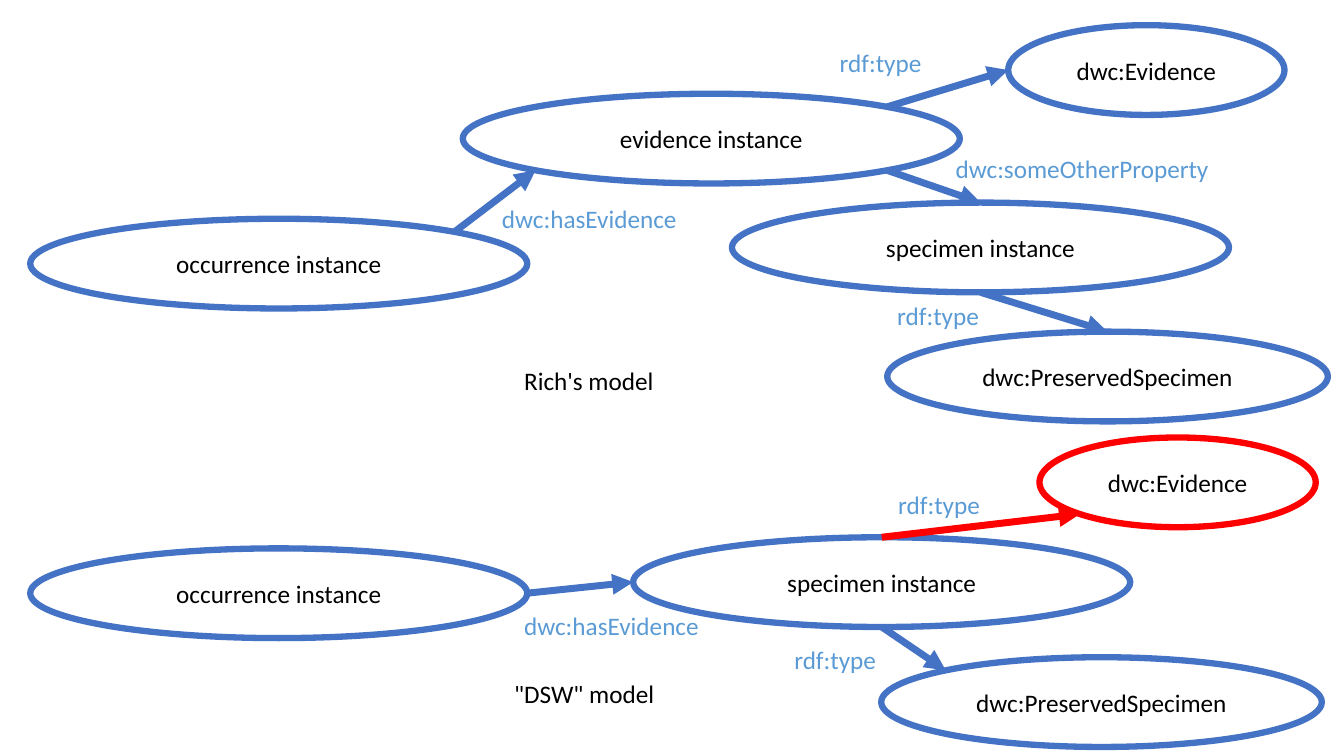
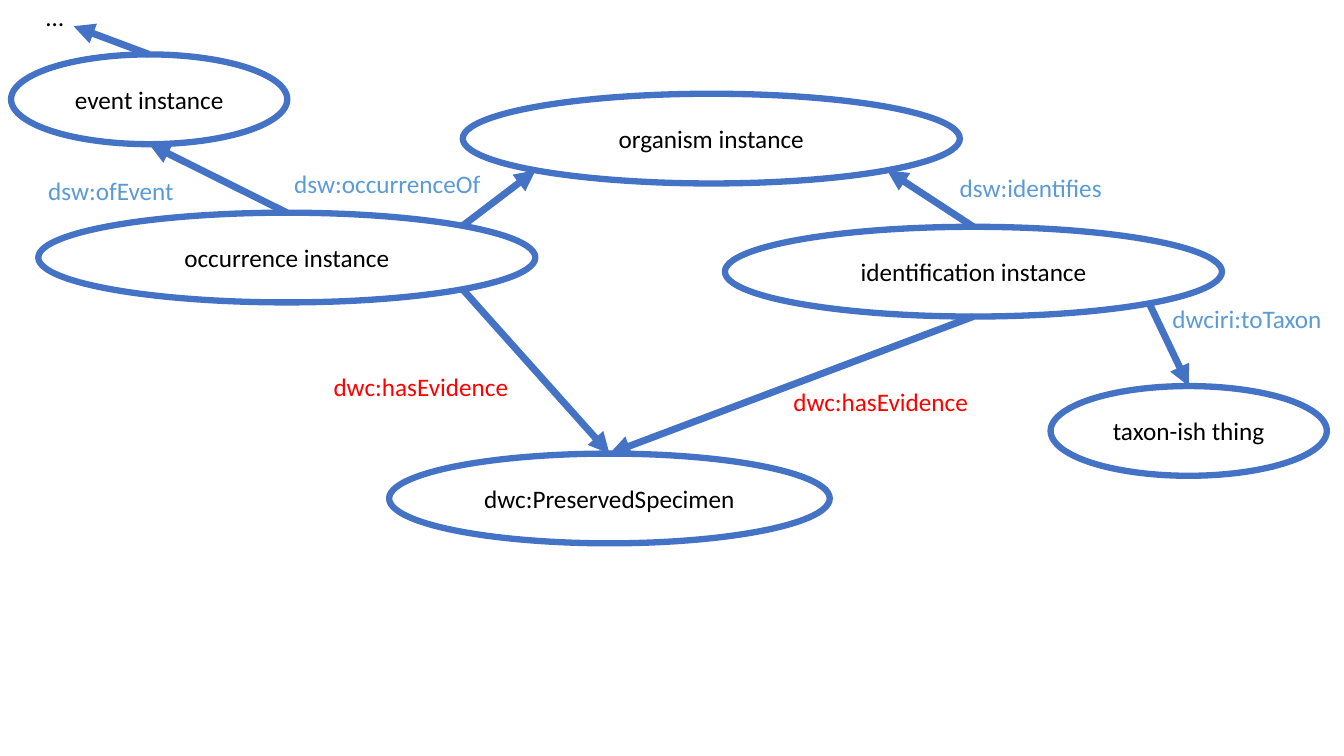
from math import cos, pi, sin

from lxml.etree import SubElement
from pptx import Presentation
from pptx.dml.color import RGBColor
from pptx.enum.shapes import MSO_CONNECTOR as CXN, MSO_SHAPE as SHAPE
from pptx.enum.text import MSO_ANCHOR as ANCHOR, MSO_AUTO_SIZE as FIT, PP_ALIGN as ALIGN
from pptx.oxml.ns import qn
from pptx.util import Inches, Pt

BLUE, RED, BLACK, SKY = "4472C4", "FF0000", "000000", "5B9BD5"
CELL = Inches(1)  # one column or row of the grid
WIDE, MEDIUM, SMALL, TALL = 4.93, 4.37, 2.74, 0.89  # ellipse sizes in cells
# Connection sites of an ellipse, counterclockwise from the top
(TOP, TOP_LEFT, LEFT, BOTTOM_LEFT,
 BOTTOM, BOTTOM_RIGHT, RIGHT, TOP_RIGHT) = range(8)


def rgb(value):
    """Turn a hex string into a colour."""
    return RGBColor.from_string(value)


def grid(*cells):
    """Turn grid columns or rows into lengths."""
    return [round(c * CELL) for c in cells]


def site_point(s, site):
    """Return the place of a connection site on an ellipse."""
    angle = pi / 2 + site * pi / 4
    return (round(s.left + s.width / 2 * (1 + cos(angle))),
            round(s.top + s.height / 2 * (1 - sin(angle))))


class Diagram:
    """Graph diagrams in one style, drawn on the current slide."""

    font, size, outline, arrow_width = "Calibri", Pt(18), Pt(4.5), Pt(5)

    def __init__(self, prs):
        self.prs = prs
        self.slide = None

    def new_slide(self):
        """Start a blank slide."""
        self.slide = self.prs.slides.add_slide(self.prs.slide_layouts[6])

    def set_text(self, tf, text, color, align):
        """Put one styled paragraph into a text frame."""
        p = tf.paragraphs[0]
        p.text, p.alignment = text, align
        p.font.name, p.font.size = self.font, self.size
        p.font.color.rgb = rgb(color)

    def node(self, text, x, y, width=WIDE, color=BLUE):
        """Draw an outlined ellipse with centred text."""
        s = self.slide.shapes.add_shape(SHAPE.OVAL, *grid(x, y, width, TALL))
        s.shadow.inherit = False
        s.fill.background()
        s.line.color.rgb = rgb(color)
        s.line.width = self.outline
        s.text_frame.vertical_anchor = ANCHOR.MIDDLE
        self.set_text(s.text_frame, text, BLACK, ALIGN.CENTER)
        return s

    def label(self, text, x, y, width, color=SKY):
        """Add one unwrapped line of text."""
        s = self.slide.shapes.add_textbox(*grid(x, y, width, 0.4))
        tf = s.text_frame
        tf.word_wrap, tf.auto_size = False, FIT.SHAPE_TO_FIT_TEXT
        self.set_text(tf, text, color, ALIGN.LEFT)

    def arrow(self, start, site, end, end_site=None, color=BLUE):
        """Link a node to another node, or to a free (column, row) point."""
        target = grid(*end) if end_site is None else site_point(end, end_site)
        c = self.slide.shapes.add_connector(
            CXN.STRAIGHT, *site_point(start, site), *target)
        c.line.color.rgb = rgb(color)
        c.line.width = self.arrow_width
        sp_pr = c._element.spPr
        SubElement(sp_pr.find(qn("a:ln")), qn("a:tailEnd"), type="triangle")
        SubElement(sp_pr, qn("a:effectLst"))
        links = c._element.find(".//" + qn("p:cNvCxnSpPr"))
        SubElement(links, qn("a:stCxn"), id=str(start.shape_id), idx=str(site))
        if end_site is not None:
            SubElement(links, qn("a:endCxn"), id=str(end.shape_id), idx=str(end_site))


def compare_models(d):
    """Build the slide that sets two evidence models side by side."""
    d.new_slide()
    evidence = d.node("evidence instance", 4.59, 0.93)
    occurrence = d.node("occurrence instance", 0.3, 2.17)
    specimen = d.node("specimen instance", 7.26, 2.01)
    evidence_type = d.node("dwc:Evidence", 10, 0.25, SMALL)
    preserved = d.node("dwc:PreservedSpecimen", 8.8, 3.29, MEDIUM)
    d.arrow(occurrence, TOP_RIGHT, evidence, BOTTOM_LEFT)
    d.arrow(evidence, BOTTOM_RIGHT, specimen, TOP)
    d.arrow(evidence, TOP_RIGHT, evidence_type, LEFT)
    d.arrow(specimen, BOTTOM, preserved, TOP)
    d.label("dwc:hasEvidence", 4.88, 1.97, 1.96)
    d.label("dwc:someOtherProperty", 9.38, 1.47, 2.74)
    d.label("rdf:type", 8.23, 0.42, 1.02)
    d.label("rdf:type", 8.8, 2.93, 1.02)
    d.label("Rich's model", 5.1, 3.58, 1.5, BLACK)

    occurrence = d.node("occurrence instance", 0.3, 5.44)
    specimen = d.node("specimen instance", 6.28, 5.33)
    evidence_type = d.node("dwc:Evidence", 10.31, 4.34, SMALL, RED)
    preserved = d.node("dwc:PreservedSpecimen", 8.74, 6.52, MEDIUM)
    d.arrow(occurrence, RIGHT, specimen, LEFT)
    d.arrow(specimen, TOP, evidence_type, BOTTOM_LEFT, RED)
    d.arrow(specimen, BOTTOM, preserved, TOP_LEFT)
    d.label("dwc:hasEvidence", 5.1, 6.01, 1.96)
    d.label("rdf:type", 8.81, 4.81, 1.02)
    d.label("rdf:type", 7.78, 6.34, 1.02)
    d.label('"DSW" model', 5, 6.68, 1.61, BLACK)


def shared_evidence(d):
    """Build the slide where one specimen is evidence for two instances."""
    d.new_slide()
    organism = d.node("organism instance", 4.59, 0.93)
    occurrence = d.node("occurrence instance", 0.38, 2.11)
    identification = d.node("identification instance", 7.19, 2.25)
    taxon = d.node("taxon-ish thing", 10.42, 3.83, SMALL)
    preserved = d.node("dwc:PreservedSpecimen", 3.86, 4.5, MEDIUM)
    event = d.node("event instance", 0.11, 0.54, SMALL)
    d.arrow(identification, TOP, organism, BOTTOM_RIGHT)
    d.arrow(occurrence, TOP_RIGHT, organism, BOTTOM_LEFT)
    d.arrow(identification, BOTTOM_RIGHT, taxon, TOP)
    d.arrow(identification, BOTTOM, preserved, TOP)
    d.arrow(occurrence, BOTTOM_RIGHT, preserved, TOP)
    d.arrow(occurrence, TOP, event, BOTTOM)
    d.arrow(event, TOP, (0.73, 0.26))
    d.label("dwc:hasEvidence", 3.21, 3.63, 1.96, RED)
    d.label("dwc:hasEvidence", 7.77, 3.78, 1.96, RED)
    d.label("dsw:identifies", 9.42, 1.66, 1.63)
    d.label("dsw:occurrenceOf", 2.82, 1.62, 2.07)
    d.label("dwciri:toTaxon", 11.53, 2.96, 1.7)
    d.label("dsw:ofEvent", 0.38, 1.69, 1.46)
    d.label("…", 0.36, -0.04, 0.38, BLACK)


prs = Presentation()
prs.slide_width, prs.slide_height = grid(13.33, 7.5)
diagram = Diagram(prs)
compare_models(diagram)
shared_evidence(diagram)
prs.save("out.pptx")
